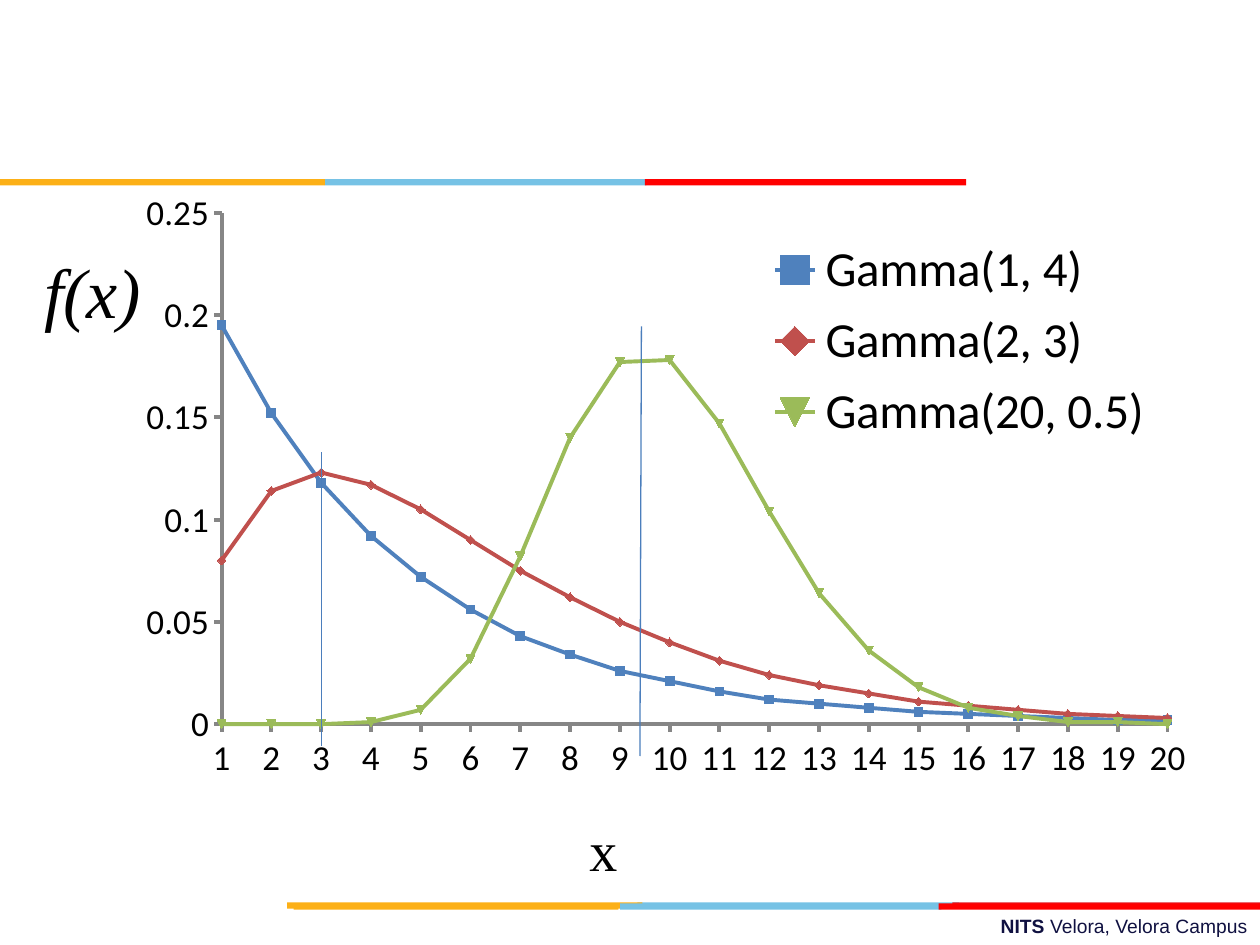
"""Build a slide that compares three gamma densities in a line chart."""
from lxml.etree import SubElement
from pptx import Presentation
from pptx.chart.data import CategoryChartData
from pptx.dml.color import RGBColor
from pptx.enum.chart import XL_CHART_TYPE as ChartType, XL_LEGEND_POSITION as LegendPosition
from pptx.enum.chart import XL_TICK_MARK as TickMark
from pptx.enum.shapes import MSO_CONNECTOR as Connector, MSO_SHAPE as Shape
from pptx.enum.text import PP_ALIGN as Align
from pptx.oxml import parse_xml
from pptx.oxml.ns import nsdecls, qn
from pptx.util import Cm, Pt

COLORS = {
    "amber": "FCB017", "sky": "76C2E5", "red": "FF0000", "crimson": "E31C24",
    "navy": "101141", "black": "000000", "axis": "868686", "marker": "4B7EBC",
    "blue": "4F81BD", "brick": "C0504D", "green": "9BBB59",
}
DENSITIES = {
    "Gamma(1, 4)": ("blue", [
        0.195, 0.152, 0.118, 0.092, 0.072, 0.056, 0.043, 0.034, 0.026, 0.021,
        0.016, 0.012, 0.01, 0.008, 0.006, 0.005, 0.004, 0.003, 0.002, 0.002]),
    "Gamma(2, 3)": ("brick", [
        0.08, 0.114, 0.123, 0.117, 0.105, 0.09, 0.075, 0.062, 0.05, 0.04,
        0.031, 0.024, 0.019, 0.015, 0.011, 0.009, 0.007, 0.005, 0.004, 0.003]),
    "Gamma(20, 0.5)": ("green", [
        0, 0, 0, 0.001, 0.007, 0.032, 0.082, 0.14, 0.177, 0.178,
        0.147, 0.104, 0.064, 0.036, 0.018, 0.008, 0.004, 0.001, 0.001, 0]),
}


def color(name):
    """Return the named colour."""
    return RGBColor.from_string(COLORS[name])


class SlideBuilder:
    """Hold the style and the current slide."""

    bar_height = 0.13
    serif = "Times New Roman"

    def __init__(self, deck):
        self.slide = deck.slides.add_slide(deck.slide_layouts[6])

    def bars(self, top, parts):
        """Draw a row of coloured bars given as name, left and width."""
        for name, left, width in parts:
            bar = self.slide.shapes.add_shape(
                Shape.RECTANGLE, Cm(left), Cm(top), Cm(width), Cm(self.bar_height))
            bar.shadow.inherit = False
            bar.fill.solid()
            bar.fill.fore_color.rgb = color(name)
            bar.line.fill.background()

    def text(self, left, top, width, height, runs, size, font, ink="black",
             italic=False, align=Align.LEFT):
        """Add a text box from pairs of wording and boldness."""
        box = self.slide.shapes.add_textbox(Cm(left), Cm(top), Cm(width), Cm(height))
        box.text_frame.word_wrap = True
        para = box.text_frame.paragraphs[0]
        para.alignment = align
        for wording, bold in runs:
            span = para.add_run()
            span.text = wording
            span.font.name, span.font.size = font, Pt(size)
            span.font.bold, span.font.italic = bold, italic
            span.font.color.rgb = color(ink)

    def line(self, x1, y1, x2, y2):
        """Draw a thin line without a shadow."""
        line = self.slide.shapes.add_connector(
            Connector.STRAIGHT, Cm(x1), Cm(y1), Cm(x2), Cm(y2))
        line.line.color.rgb = color("marker")
        line.line.width = Pt(0.75)
        SubElement(line._element.spPr, qn("a:effectLst"))

    def layout(self, x, y, w, h, inner=False):
        """Return a manual chart layout in fractions of the chart."""
        target = '<c:layoutTarget val="inner"/>' if inner else ""
        return parse_xml(
            f'<c:layout {nsdecls("c")}><c:manualLayout>{target}'
            '<c:xMode val="edge"/><c:yMode val="edge"/>'
            f'<c:x val="{x}"/><c:y val="{y}"/><c:w val="{w}"/><c:h val="{h}"/>'
            '</c:manualLayout></c:layout>')

    def axis(self, axis):
        """Style one chart axis."""
        axis.has_major_gridlines = False
        axis.major_tick_mark = TickMark.OUTSIDE
        axis.minor_tick_mark = TickMark.NONE
        axis.format.line.color.rgb = color("axis")
        axis.format.line.width = Pt(2.25)

    def line_chart(self, left, top, width, height, categories, densities):
        """Add the chart with its axes, legend and series colours."""
        data = CategoryChartData(number_format="General")
        data.categories = categories
        for name, (_, values) in densities.items():
            data.add_series(name, values)
        chart = self.slide.shapes.add_chart(
            ChartType.LINE_MARKERS, Cm(left), Cm(top), Cm(width), Cm(height), data).chart
        chart.has_title = False
        chart.font.name, chart.font.size = "Calibri", Pt(20)
        chart.font.color.rgb = color("black")
        self.axis(chart.category_axis)
        self.axis(chart.value_axis)
        chart.value_axis.minimum_scale, chart.value_axis.maximum_scale = 0, 0.25
        chart.value_axis.major_unit = 0.05
        chart.value_axis._element.find(qn("c:majorUnit")).addprevious(
            parse_xml(f'<c:crossBetween {nsdecls("c")} val="midCat"/>'))

        plot_area = chart._chartSpace.chart.plotArea
        for old in plot_area.findall(qn("c:layout")):
            plot_area.remove(old)
        plot_area.insert(0, self.layout(0.13, 0.036, 0.827, 0.773, inner=True))

        chart.has_legend = True
        legend = chart.legend
        legend.position = LegendPosition.RIGHT
        legend.include_in_layout = False
        legend.font.name, legend.font.size = "Calibri", Pt(28)
        legend.font.color.rgb = color("black")
        for old in legend._element.findall(qn("c:layout")):
            legend._element.remove(old)
        legend._element.find(qn("c:legendPos")).addnext(self.layout(0.6, 0.06, 0.35, 0.34))

        plot = chart.plots[0]
        plot.vary_by_categories = False
        for series, (name, _) in zip(plot.series, densities.values()):
            series.smooth = False
            series.format.line.color.rgb = color(name)
            series.format.line.width = Pt(2.25)
            series.marker.size = 5
            series.marker.format.fill.solid()
            series.marker.format.fill.fore_color.rgb = color(name)
            series.marker.format.line.color.rgb = color(name)


def main():
    """Build and save the deck."""
    deck = Presentation()
    deck.slide_width, deck.slide_height = Cm(25.4), Cm(19.05)
    page = SlideBuilder(deck)
    page.text(9.09, 18.31, 16.31, 0.74,
              [("NITS ", True), ("Velora, Velora Campus", False)],
              11, "Arial", "navy", align=Align.RIGHT)
    page.bars(18.19, [("sky", 12.85, 6.48), ("crimson", 19.2, 6.2), ("amber", 5.79, 7.16)])
    page.bars(18.21, [("sky", 12.5, 6.48), ("amber", 5.92, 6.55), ("red", 18.92, 6.48)])
    page.bars(3.61, [("sky", 6.55, 6.48), ("amber", 0, 6.55), ("red", 13, 6.48)])
    page.line_chart(1.47, 3.81, 23.06, 13.34, [str(x) for x in range(1, 21)], DENSITIES)
    page.text(0.64, 4.88, 3.38, 1.96, [("f(x)", False)], 40, page.serif, italic=True)
    page.text(11.63, 16.31, 1.9, 1.63, [("x", False)], 32, page.serif)
    page.line(6.48, 9.12, 6.48, 15.04)
    page.line(12.93, 6.58, 12.9, 15.24)
    deck.save("out.pptx")


if __name__ == "__main__":
    main()
